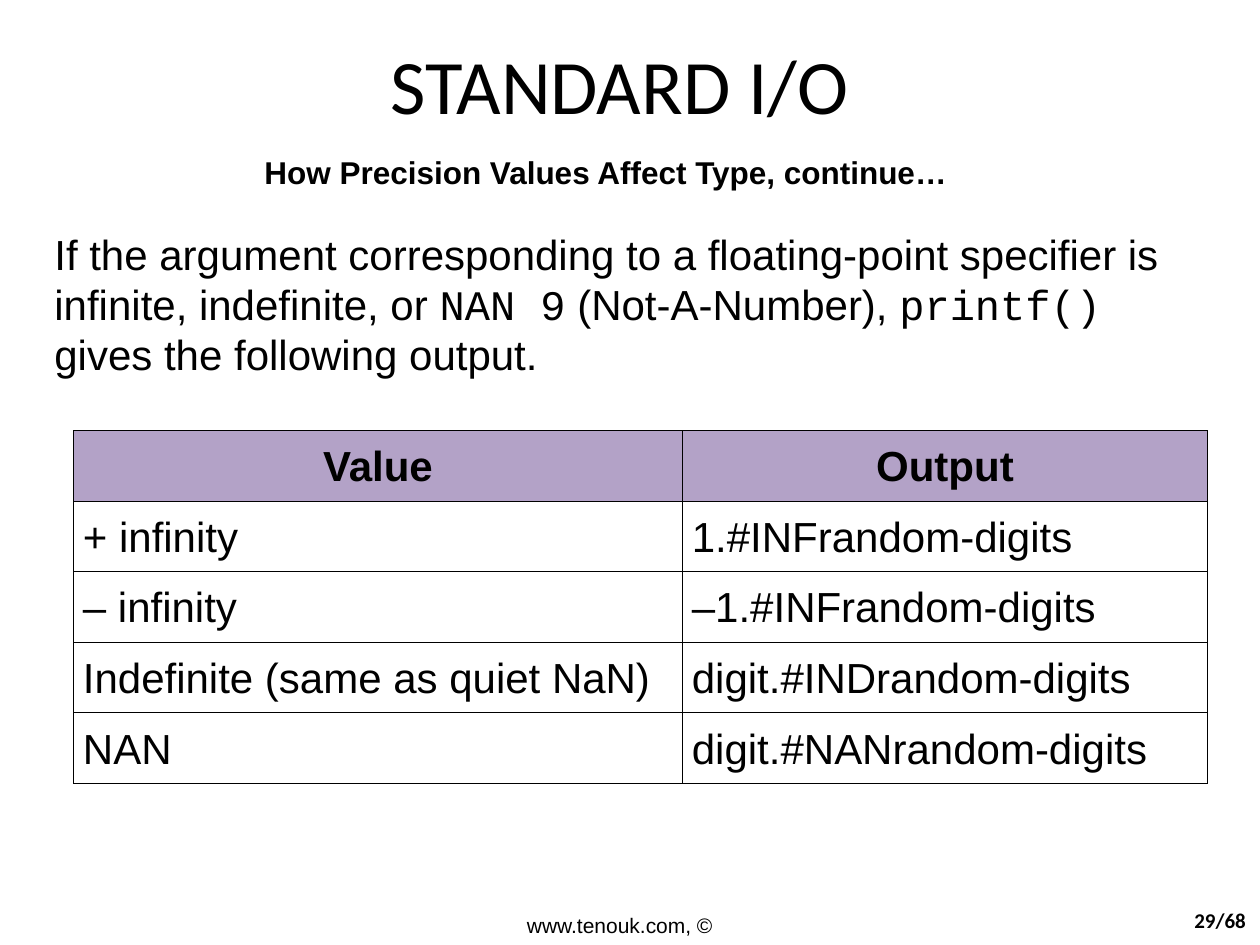
from dataclasses import dataclass

from lxml.etree import SubElement
from pptx import Presentation
from pptx.dml.color import RGBColor
from pptx.enum.text import MSO_ANCHOR as ANCHOR, PP_ALIGN as ALIGN
from pptx.oxml.ns import qn
from pptx.util import Pt


@dataclass(frozen=True)
class Theme:
    """Colours, fonts and type sizes in points."""
    ink: str = "000000"
    header: str = "B3A2C7"
    heading_font: str = "Calibri"
    body_font: str = "Arial"
    code_font: str = "Courier New"
    title: int = 44
    subtitle: int = 18
    body: int = 24
    footer: int = 12
    border: float = 0.45


THEME = Theme()

ROWS = [
    ("Value", "Output"),
    ("+ infinity", "1.#INFrandom-digits"),
    ("– infinity", "–1.#INFrandom-digits"),
    ("Indefinite (same as quiet NaN)", "digit.#INDrandom-digits"),
    ("NAN", "digit.#NANrandom-digits"),
]

INTRO = [
    ("If the argument corresponding to a floating-point specifier is "
     "infinite, indefinite, or ", THEME.body_font),
    ("NAN 9", THEME.code_font),
    (" (Not-A-Number), ", THEME.body_font),
    ("printf()", THEME.code_font),
    (" gives the following output.", THEME.body_font),
]


def style(font, size, name=None, bold=False):
    """Set size, weight, colour and, if given, typeface."""
    font.size, font.bold = Pt(size), bold
    font.color.rgb = RGBColor.from_string(THEME.ink)
    if name:
        font.name = name


def add_box(slide, box, anchor=ANCHOR.TOP, align=ALIGN.LEFT):
    """Add a wrapping text box and return its first paragraph."""
    tf = slide.shapes.add_textbox(*map(Pt, box)).text_frame
    tf.word_wrap, tf.vertical_anchor = True, anchor
    p = tf.paragraphs[0]
    p.alignment = align
    return p


def add_heading(slide, box):
    """Place the title with the subtitle below it."""
    x, y, w, h = box
    p = add_box(slide, (x, y, w, 60), ANCHOR.MIDDLE, ALIGN.CENTER)
    p.text = "STANDARD I/O"
    style(p.font, THEME.title, THEME.heading_font)
    p = add_box(slide, (x + 24, y + 66, w - 24, h - 66))
    p.text = "How Precision Values Affect Type, continue…"
    style(p.font, THEME.subtitle, THEME.body_font, True)


def add_intro(slide, box):
    """Place the paragraph that mixes prose and code."""
    p = add_box(slide, box, ANCHOR.MIDDLE)
    style(p.font, THEME.body)
    for text, font in INTRO:
        r = p.add_run()
        r.text, r.font.name = text, font


def add_borders(cell):
    """Draw a thin line on all four sides of a cell."""
    props = cell._tc.get_or_add_tcPr()
    for i, side in enumerate(("lnL", "lnR", "lnT", "lnB")):
        ln = props.makeelement(qn(f"a:{side}"), {"w": str(Pt(THEME.border))})
        fill = SubElement(ln, qn("a:solidFill"))
        SubElement(fill, qn("a:srgbClr"), val=THEME.ink)
        props.insert(i, ln)


def add_output_table(slide, box):
    """Place the table of special values and their output."""
    table = slide.shapes.add_table(len(ROWS), 2, *map(Pt, box)).table
    table.horz_banding = False
    first = 348
    for col, width in zip(table.columns, (first, box[2] - first)):
        col.width = Pt(width)
    for i, row in enumerate(ROWS):
        for j, text in enumerate(row):
            cell = table.cell(i, j)
            cell.margin_left = cell.margin_right = Pt(5.4)
            cell.margin_top = cell.margin_bottom = Pt(3.6)
            if i == 0:
                cell.fill.solid()
                cell.fill.fore_color.rgb = RGBColor.from_string(THEME.header)
            else:
                cell.fill.background()
            add_borders(cell)
            p = cell.text_frame.paragraphs[0]
            p.text, p.line_spacing = text, 1.15
            p.alignment = ALIGN.CENTER if i == 0 else ALIGN.LEFT
            style(p.font, THEME.body, THEME.body_font, i == 0)


def add_footer(slide, box):
    """Place the site credit and the page number."""
    x, y, w, h = box
    p = add_box(slide, (x, y + 7, 126, h - 7))
    p.text = "www.tenouk.com, ©"
    style(p.font, THEME.footer, THEME.body_font)
    p = add_box(slide, (x + w - 53, y, 53, h), ANCHOR.MIDDLE, ALIGN.RIGHT)
    p.text = "29/68"
    style(p.font, THEME.footer, THEME.heading_font, True)


def main():
    """Build the slide and save it."""
    prs = Presentation()
    prs.slide_width, prs.slide_height = Pt(720), Pt(540)
    slide = prs.slides.add_slide(prs.slide_layouts[6])
    add_heading(slide, (120, 18, 468, 95))
    add_output_table(slide, (42, 246, 648, 165))
    add_intro(slide, (24, 126.5, 672, 94))
    add_footer(slide, (294, 511, 425, 29))
    prs.save("out.pptx")


if __name__ == "__main__":
    main()
